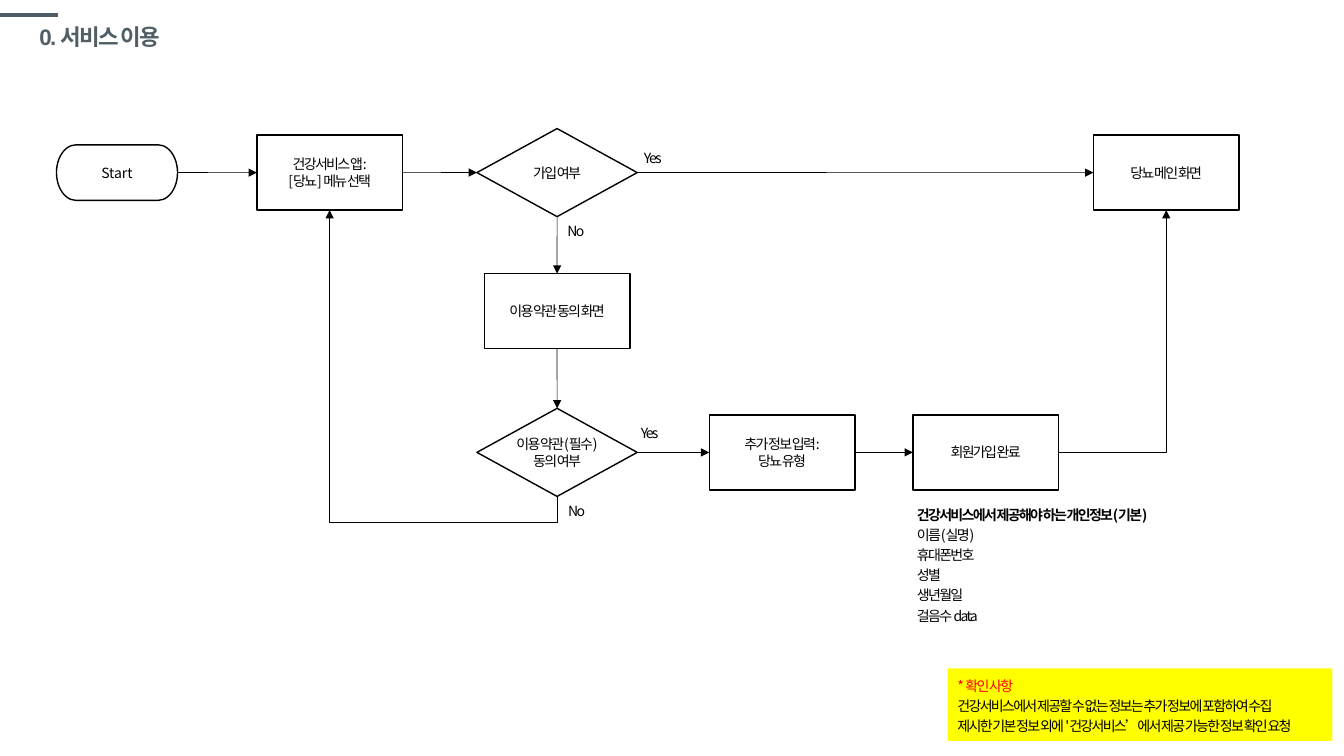
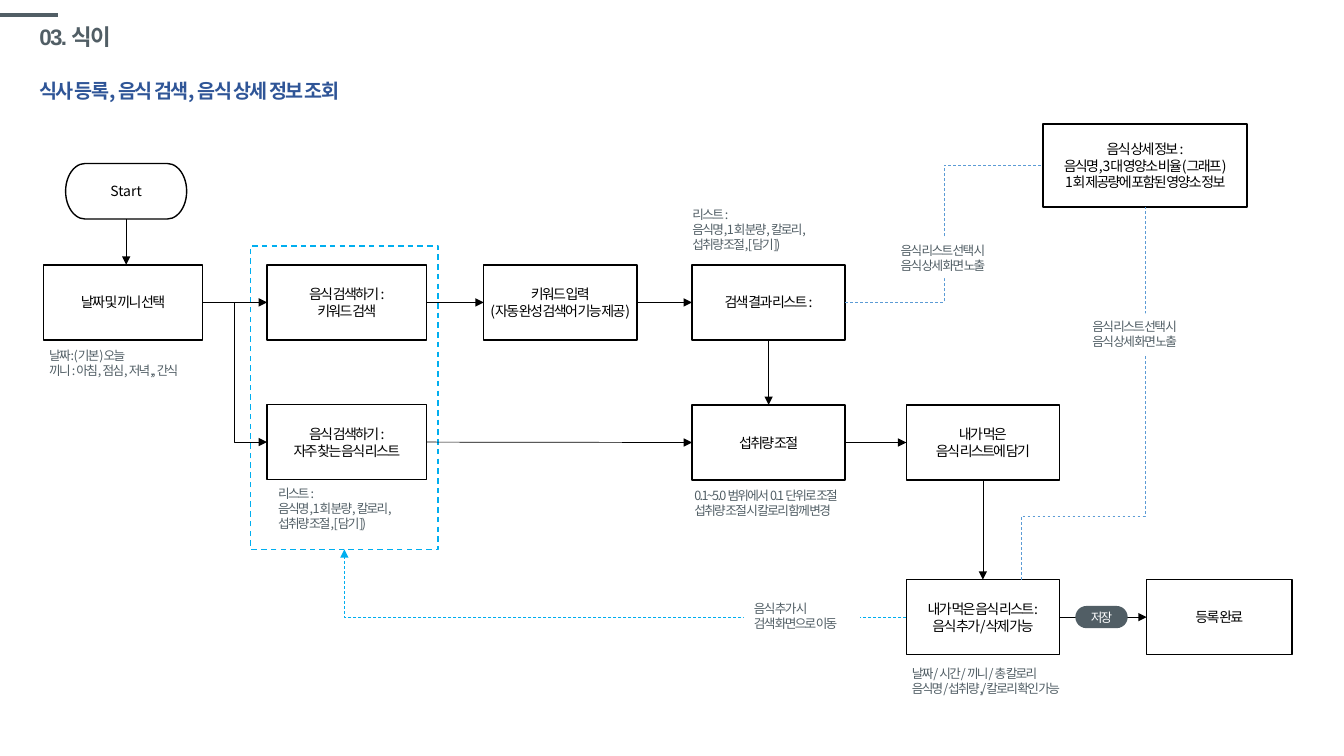
import pptx
import pptx.dml.color
import pptx.enum.dml
import pptx.enum.shapes
import pptx.enum.text
import pptx.oxml.ns
import pptx.util
from lxml import etree

Cm, Pt, qn = pptx.util.Cm, pptx.util.Pt, pptx.oxml.ns.qn
SHAPE = pptx.enum.shapes.MSO_SHAPE
CONNECTOR = pptx.enum.shapes.MSO_CONNECTOR
ALIGN = pptx.enum.text.PP_ALIGN
MIDDLE = pptx.enum.text.MSO_ANCHOR.MIDDLE
DASH = pptx.enum.dml.MSO_LINE.DASH

BODY_FONT, TITLE_FONT = "Noto Sans CJK KR", "Arial"
BLACK, WHITE, SLATE = "000000", "FFFFFF", "515E65"
CYAN, BLUE, NAVY = "00AEEF", "5B9BD5", "2F5597"
YELLOW, RED = "FFFF00", "FF0000"

# kind: preset, width, height (cm)
NODE_KINDS = {
    "terminator": (SHAPE.FLOWCHART_TERMINATOR, 3.05, 1.4),
    "process": (SHAPE.FLOWCHART_PROCESS, 3.67, 1.89),
    "step": (SHAPE.FLOWCHART_PROCESS, 3.86, 1.89),
    "entry": (SHAPE.FLOWCHART_PROCESS, 4.02, 1.89),
    "detail": (SHAPE.FLOWCHART_PROCESS, 5.14, 2.09),
    "decision": (SHAPE.FLOWCHART_DECISION, 4.04, 2.22),
    "frame": (SHAPE.RECTANGLE, 4.72, 7.65),
}
# style: colour, dashed, arrowhead
LINK_STYLES = {
    "flow": (BLACK, False, True),
    "return": (CYAN, True, True),
    "detail": (BLUE, True, False),
}
# route: preset, starts vertically
ROUTES = {
    "side": ("bentConnector3", False),
    "upright": ("bentConnector3", True),
    "corner": ("bentConnector2", False),
}
SITES = {"top": 0, "left": 1, "bottom": 2, "right": 3}
# "first" overrides the font of the first line
LABEL_STYLES = {
    "branch": {"font": {"size": 10, "spacing": 1.2}},
    "info": {"font": {"size": 10, "spacing": 1.2}, "first": {"bold": True}},
    "check": {"font": {"size": 10, "spacing": 1.2}, "first": {"color": RED},
              "fill": YELLOW, "anchor": MIDDLE},
    "note": {"font": {"size": 9, "color": SLATE}},
    "patch": {"font": {"size": 9, "color": SLATE}, "fill": WHITE},
    "pill": {"font": {"size": 9, "color": WHITE, "align": ALIGN.CENTER},
             "fill": SLATE, "anchor": MIDDLE, "preset": SHAPE.ROUNDED_RECTANGLE},
    "subtitle": {"font": {"size": 14, "color": NAVY, "bold": True, "spacing": 1.5}},
}

FOOD_LIST = ["리스트 :", "음식명, 1회 분량, 칼로리,", "섭취량 조절, [담기])"]
DETAIL_HINT = ["음식 리스트 선택 시", "음식 상세 화면 노출"]

# nodes: name, kind, centre x, centre y, lines
# links: from, to, style, then route and bend for an elbow
# labels: style, left, top, width, height, lines
SLIDES = [
    {
        "title": "0. 서비스 이용",
        "nodes": [
            ("start", "terminator", 2.95, 4.35, ["Start"]),
            ("menu", "process", 8.31, 4.35, ["건강서비스 앱:", "[당뇨] 메뉴 선택"]),
            ("joined", "decision", 14.04, 4.35, ["가입 여부"]),
            ("main", "process", 29.39, 4.35, ["당뇨 메인 화면"]),
            ("terms", "process", 14.04, 7.84, ["이용 약관 동의 화면"]),
            ("agreed", "decision", 14.04, 11.4, ["이용 약관(필수)", "동의 여부"]),
            ("extra", "process", 19.71, 11.4, ["추가 정보 입력:", "당뇨 유형"]),
            ("complete", "process", 24.84, 11.4, ["회원가입 완료"]),
        ],
        "links": [
            ("start.right", "menu.left", "flow"),
            ("menu.right", "joined.left", "flow"),
            ("joined.right", "main.left", "flow"),
            ("joined.bottom", "terms.top", "flow"),
            ("terms.bottom", "agreed.top", "flow"),
            ("agreed.right", "extra.left", "flow"),
            ("extra.right", "complete.left", "flow"),
            ("agreed.bottom", "menu.bottom", "flow", "upright", -0.09),
            ("complete.right", "main.bottom", "flow", "corner"),
        ],
        "labels": [
            ("branch", 14.05, 5.41, 1.32, 0.76, ["No"]),
            ("branch", 15.98, 3.56, 1.32, 0.71, ["Yes"]),
            ("branch", 15.9, 10.49, 1.32, 0.71, ["Yes"]),
            ("branch", 14.07, 12.45, 1.32, 0.76, ["No"]),
            ("info", 22.86, 12.55, 7.21, 3.33,
             ["건강서비스에서 제공해야 하는 개인정보(기본)", "이름(실명)", "휴대폰번호",
              "성별", "생년월일", "걸음수 data"]),
            ("check", 23.88, 16.84, 9.7, 1.83,
             ["* 확인 사항",
              "건강서비스에서 제공할 수 없는 정보는 추가 정보에 포함하여 수집",
              "제시한 기본 정보 외에 '건강서비스’에서 제공 가능한 정보 확인 요청"]),
        ],
    },
    {
        "title": "03. 식이",
        "nodes": [
            ("start", "terminator", 3.18, 4.82, ["Start"]),
            ("meal", "entry", 3.1, 7.62, ["날짜 및 끼니 선택"]),
            ("search", "entry", 8.74, 7.62, ["음식 검색하기 :", "키워드 검색"]),
            ("keyword", "step", 14.12, 7.62, ["키워드 입력", "(자동 완성 검색어 기능 제공)"]),
            ("results", "step", 19.37, 7.62, ["검색 결과 리스트 :"]),
            ("frequent", "entry", 8.74, 11.14, ["음식 검색하기 :", "자주 찾는 음식 리스트"]),
            ("amount", "step", 19.37, 11.15, ["섭취량 조절"]),
            ("add", "step", 24.77, 11.15, ["내가 먹은", "음식 리스트에 담기"]),
            ("eaten", "step", 24.77, 15.55, ["내가 먹은 음식 리스트:", "음식 추가/삭제 가능"]),
            ("saved", "process", 30.73, 15.55, ["등록 완료"]),
            ("detail", "detail", 28.86, 4.17,
             ["음식 상세 정보 :", "음식명, 3대 영양소 비율(그래프)",
              "1회 제공량에 포함된 영양소 정보"]),
            ("searches", "frame", 8.68, 10.02, []),
        ],
        "links": [
            ("start.bottom", (3.18, 6.67), "flow"),
            ("meal.right", "search.left", "flow"),
            ("search.right", "keyword.left", "flow"),
            ("keyword.right", "results.left", "flow"),
            ("results.bottom", "amount.top", "flow"),
            ("frequent.right", "amount.left", "flow"),
            ("amount.right", "add.left", "flow"),
            ("add.bottom", "eaten.top", "flow"),
            ("eaten.right", "saved.left", "flow"),
            ("meal.right", "frequent.left", "flow", "side", 0.5),
            ("eaten.left", "searches.bottom", "return", "corner"),
            ("results.right", "detail.left", "detail", "side", 0.5),
            ((25.73, 14.61), "detail.bottom", "detail", "upright", 0.17),
        ],
        "labels": [
            ("subtitle", 0.74, 1.57, 9.22, 1.14, ["식사 등록, 음식 검색, 음식 상세 정보 조회"]),
            ("note", 17.25, 12.17, 4.95, 1.02,
             ["0.1~5.0 범위에서 0.1 단위로 조절", "섭취량 조절 시 칼로리 함께 변경"]),
            ("note", 0.99, 8.64, 4.98, 1.02,
             ["날짜: (기본)오늘", "끼니 : 아침, 점심, 저녁,, 간식"]),
            ("note", 6.76, 12.12, 3.76, 1.42, FOOD_LIST),
            ("note", 17.2, 5.08, 3.76, 1.42, FOOD_LIST),
            ("patch", 18.75, 15.01, 2.92, 1.02, ["음식 추가 시", "검색 화면으로 이동"]),
            ("patch", 22.73, 16.66, 4.75, 1.02,
             ["날짜/ 시간/ 끼니/ 총 칼로리", "음식명/섭취량,/칼로리 확인 가능"]),
            ("patch", 22.45, 5.99, 3.86, 1.02, DETAIL_HINT),
            ("patch", 27.28, 7.9, 3.86, 1.02, DETAIL_HINT),
            ("pill", 27.1, 15.27, 1.32, 0.56, ["저장"]),
        ],
    },
]


def rgb(color):
    """Turn a hex string into a colour."""
    return pptx.dml.color.RGBColor.from_string(color)


def format_paragraph(paragraph, size, color=BLACK, bold=False, spacing=1.0,
                     align=ALIGN.LEFT, name=BODY_FONT, tracking=-120):
    """Set the font, line spacing and letter spacing of a paragraph."""
    paragraph.alignment, paragraph.line_spacing = align, spacing
    font = paragraph.font
    font.size, font.bold, font.name = Pt(size), bold, name
    font.color.rgb = rgb(color)
    font._rPr.set("spc", str(tracking))
    etree.SubElement(font._rPr, qn("a:ea")).set("typeface", BODY_FONT)


def write_lines(text_frame, lines, font, first=None):
    """Write one paragraph per line."""
    for index, line in enumerate(lines):
        paragraph = text_frame.paragraphs[0] if index == 0 else text_frame.add_paragraph()
        paragraph.text = line
        changes = first if index == 0 and first else {}
        format_paragraph(paragraph, **{**font, **changes})


def style_connector(connector, color, width, dashed=False, arrow=False):
    """Set the line of a connector and drop its shadow."""
    connector.line.color.rgb = rgb(color)
    connector.line.width = Pt(width)
    if dashed:
        connector.line.dash_style = DASH
    if arrow:
        tail = etree.SubElement(connector.line._get_or_add_ln(), qn("a:tailEnd"))
        tail.set("type", "triangle")
    etree.SubElement(connector._element.spPr, qn("a:effectLst"))


def add_node(slide, kind, center_x, center_y, lines):
    """Draw a flowchart node around its centre."""
    preset, width, height = NODE_KINDS[kind]
    shape = slide.shapes.add_shape(preset, Cm(center_x - width / 2), Cm(center_y - height / 2),
                                   Cm(width), Cm(height))
    shape.shadow.inherit = False
    shape.line.width = Pt(1)
    if kind == "frame":
        shape.fill.background()
        shape.line.color.rgb = rgb(CYAN)
        shape.line.dash_style = DASH
        return shape
    shape.fill.solid()
    shape.fill.fore_color.rgb = rgb(WHITE)
    shape.line.color.rgb = rgb(BLACK)
    shape.text_frame.word_wrap = False
    shape.text_frame.vertical_anchor = MIDDLE
    write_lines(shape.text_frame, lines, {
        "size": 10, "align": ALIGN.CENTER, "tracking": 0 if kind == "terminator" else -120})
    return shape


def bend(connector, route, adjust):
    """Turn a connector into an elbow that follows the route."""
    preset, vertical = ROUTES[route]
    properties = connector._element.spPr
    geometry = properties.find(qn("a:prstGeom"))
    geometry.set("prst", preset)
    if adjust is not None:
        guide = etree.SubElement(geometry.find(qn("a:avLst")), qn("a:gd"))
        guide.set("name", "adj1")
        guide.set("fmla", f"val {round(adjust * 100000)}")
    if vertical:
        below = connector.begin_y > connector.end_y
        leftward = connector.begin_x < connector.end_x
        width, height = connector.width, connector.height
        shift = (width - height) // 2
        connector.left, connector.top = connector.left + shift, connector.top - shift
        connector.width, connector.height = height, width
        transform = properties.find(qn("a:xfrm"))
        transform.set("rot", "5400000")
        transform.set("flipH", str(int(below)))
        transform.set("flipV", str(int(leftward)))


def add_link(slide, nodes, start, end, style, route=None, adjust=None):
    """Join two node sites or points."""
    kind = CONNECTOR.ELBOW if route else CONNECTOR.STRAIGHT
    points = [(0, 0) if isinstance(place, str) else place for place in (start, end)]
    connector = slide.shapes.add_connector(kind, *[Cm(value) for point in points for value in point])
    for place, connect in ((start, connector.begin_connect), (end, connector.end_connect)):
        if isinstance(place, str):
            name, site = place.split(".")
            connect(nodes[name], SITES[site])
    if route:
        bend(connector, route, adjust)
    color, dashed, arrow = LINK_STYLES[style]
    style_connector(connector, color, 0.5, dashed, arrow)


def add_label(slide, style_name, left, top, width, height, lines):
    """Add a note, filled when its style has a fill."""
    style = LABEL_STYLES[style_name]
    place = [Cm(value) for value in (left, top, width, height)]
    if "fill" in style:
        shape = slide.shapes.add_shape(style.get("preset", SHAPE.RECTANGLE), *place)
        shape.shadow.inherit = False
        shape.fill.solid()
        shape.fill.fore_color.rgb = rgb(style["fill"])
        shape.line.fill.background()
        if style_name == "pill":
            shape.adjustments[0] = 0.5
    else:
        shape = slide.shapes.add_textbox(*place)
    shape.text_frame.word_wrap = True
    shape.text_frame.vertical_anchor = style.get("anchor", pptx.enum.text.MSO_ANCHOR.TOP)
    write_lines(shape.text_frame, lines, style["font"], style.get("first"))


def add_layout_bar(layout, slide):
    """Put the short top bar on the layout, so every slide shows it."""
    bar = slide.shapes.add_connector(CONNECTOR.STRAIGHT, Cm(0), Cm(0.38), Cm(1.47), Cm(0.38))
    style_connector(bar, SLATE, 3)
    layout.shapes._spTree.append(bar._element)


def add_title(slide, text):
    """Place and format the slide title."""
    title = slide.shapes.title
    title.left, title.top, title.width, title.height = Cm(0.74), Cm(0.48), Cm(29.21), Cm(0.99)
    title.text_frame.vertical_anchor = MIDDLE
    write_lines(title.text_frame, [text], {
        "size": 16, "color": SLATE, "bold": True, "spacing": 0.9, "name": TITLE_FONT})


def build():
    """Build and save the presentation."""
    presentation = pptx.Presentation()
    presentation.slide_width, presentation.slide_height = Cm(33.87), Cm(19.05)
    layout = presentation.slide_layouts[5]
    for index, content in enumerate(SLIDES):
        slide = presentation.slides.add_slide(layout)
        if index == 0:
            add_layout_bar(layout, slide)
        add_title(slide, content["title"])
        nodes = {name: add_node(slide, *node) for name, *node in content["nodes"]}
        for link in content["links"]:
            add_link(slide, nodes, *link)
        for label in content["labels"]:
            add_label(slide, *label)
    presentation.save("out.pptx")


build()
